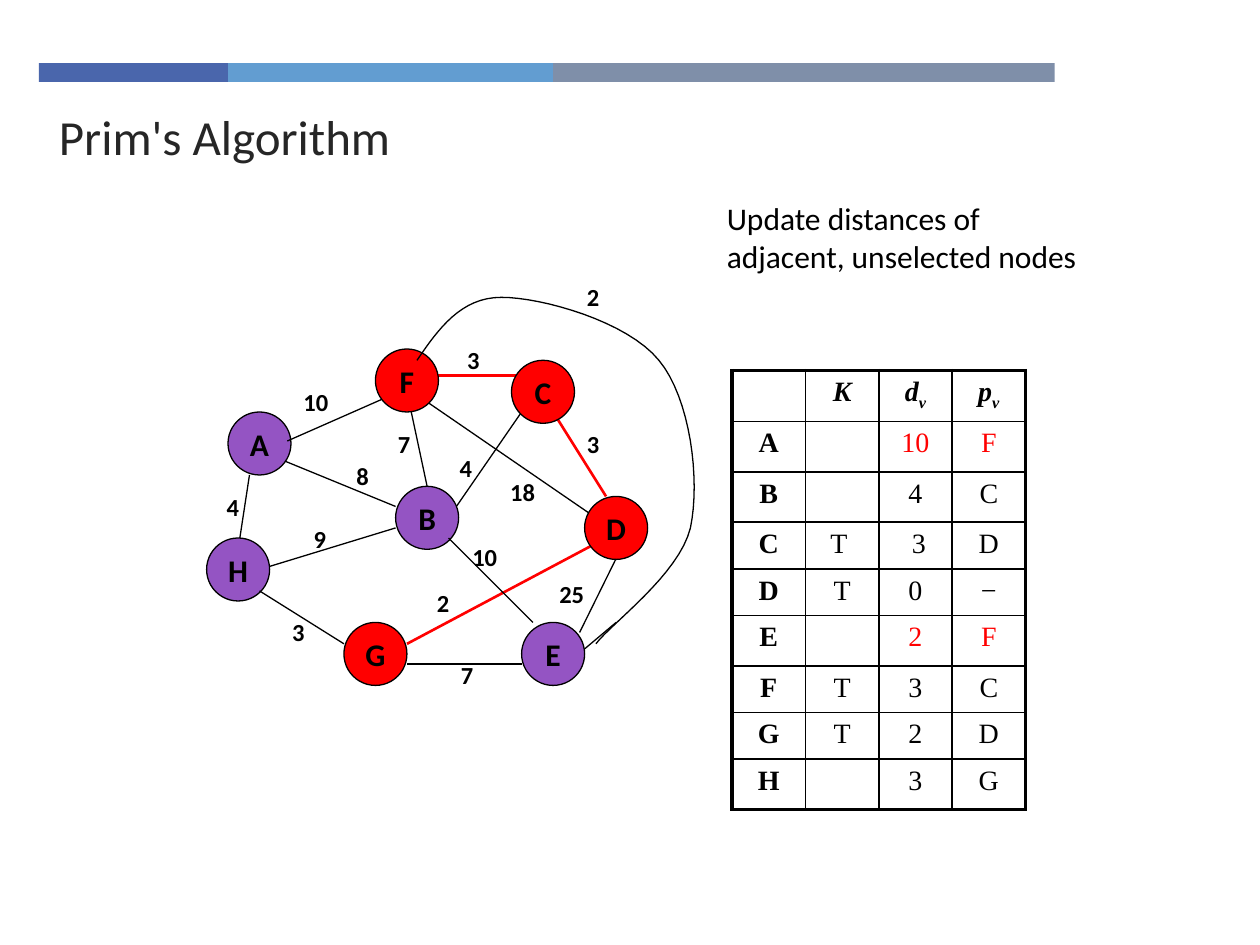
from lxml.etree import SubElement
from pptx import Presentation
from pptx.dml.color import RGBColor as RGB
from pptx.enum.shapes import MSO_CONNECTOR as LINK, MSO_SHAPE as SHAPE
from pptx.enum.text import MSO_ANCHOR as ANCHOR, PP_ALIGN as ALIGN
from pptx.oxml.ns import qn
from pptx.util import Inches, Pt

COLORS = {"black": "000000", "red": "FF0000", "purple": "9454C3",
          "title": "262626", "navy": "4A66AC", "sky": "629DD1", "slate": "7F8FA9"}

# name, left, top, in the tree
NODES = [("A", 0.31, 1.27, False), ("H", 0.14, 2.27, False),
         ("B", 1.64, 1.86, False), ("F", 1.48, 0.77, True),
         ("E", 2.64, 2.94, False), ("D", 3.14, 1.94, True),
         ("C", 2.56, 0.86, True), ("G", 1.23, 2.94, True)]

# start, end, weight, place of weight, in the tree
UNDER = [((3.51, 2.19), (3.10, 3.02), "25", (2.84, 2.55), False),
         ((1.73, 1.11), (1.89, 1.86), "7", (1.56, 1.36), False),
         ((2.06, 2.11), (2.64, 1.27), "4", (2.05, 1.55), False),
         ((3.23, 2.11), (1.89, 1.19), "18", (2.45, 1.74), False),
         ((0.56, 2.52), (1.64, 2.19), "9", (0.89, 2.11), False),
         ((1.73, 3.11), (3.31, 2.27), "2", (1.87, 2.62), True),
         ((0.39, 2.36), (0.48, 1.77), "4", (0.20, 1.86), False),
         ((0.64, 1.61), (1.64, 2.02), "8", (1.23, 1.61), False),
         ((1.94, 0.98), (2.73, 0.98), "3", (2.11, 0.69), True),
         ((2.89, 1.27), (3.31, 1.94), "3", (3.06, 1.36), True)]
OVER = [((2.06, 2.27), (2.73, 2.94), "10", (2.15, 2.25), False),
        ((2.64, 3.27), (1.73, 3.27), "7", (2.06, 3.19), False),
        ((1.23, 3.11), (0.56, 2.69), "3", (0.72, 2.85), False),
        ((0.78, 1.50), (1.53, 1.17), "10", (0.81, 1.02), False),
        ((3.39, 2.94), (3.14, 3.15), "2", (3.06, 0.19), False)]

# Bezier knots of the outer edge from F to E: start, then three per segment
ARC = [(1.81, 0.86), (1.98, 0.61), (2.16, 0.36), (2.48, 0.36),
       (2.80, 0.36), (3.48, 0.55), (3.73, 0.86),
       (3.98, 1.16), (4.06, 1.81), (3.98, 2.19),
       (3.89, 2.56), (3.35, 2.95), (3.23, 3.11)]

# An underscore marks the subscript
ROWS = [["", "K", "d_v", "p_v"],
        ["A", "", "10", "F"],
        ["B", "", "4", "C"],
        ["C", "T ", " 3", "D"],
        ["D", "T", "0", "−"],
        ["E", "", "2", "F"],
        ["F", "T", "3", "C"],
        ["G", "T", "2", "D"],
        ["H", "", "3", "G"]]
UPDATED = {"A", "E"}


def color(name):
    return RGB.from_string(COLORS[name])


def write(frame, text, size=14, font="Calibri", ink="black", bold=False,
          italic=False, align=ALIGN.LEFT):
    para = frame.paragraphs[0]
    para.alignment = align
    for i, part in enumerate(text.split("_")):
        run = para.add_run()
        run.text = part
        style = run.font
        style.name, style.size = font, Pt(size)
        style.bold, style.italic = bold, italic
        style.color.rgb = color(ink)
        if i:
            run._r.get_or_add_rPr().set("baseline", "-25000")


def add_text(slide, text, x, y, w, h, **format):
    box = slide.shapes.add_textbox(Inches(x), Inches(y), Inches(w), Inches(h))
    box.text_frame.word_wrap = True
    write(box.text_frame, text, **format)


def add_bar(slide, x, y, h):
    for name, w in (("navy", 1.5), ("sky", 2.58), ("slate", 3.98)):
        bar = slide.shapes.add_shape(SHAPE.RECTANGLE, Inches(x), Inches(y),
                                     Inches(w), Inches(h))
        bar.shadow.inherit = False
        bar.fill.solid()
        bar.fill.fore_color.rgb = color(name)
        bar.line.fill.background()
        x += w


def add_edge(slide, x, y, edge):
    start, end, weight, (left, top), chosen = edge
    line = slide.shapes.add_connector(
        LINK.STRAIGHT, Inches(x + start[0]), Inches(y + start[1]),
        Inches(x + end[0]), Inches(y + end[1]))
    line.line.color.rgb = color("red" if chosen else "black")
    line.line.width = Pt(1.5 if chosen else 0.75)
    SubElement(line._element.spPr, qn("a:effectLst"))
    add_text(slide, weight, x + left, y + top,
             0.33 if len(weight) == 1 else 0.52, 0.33, bold=True)


def add_node(slide, name, x, y, chosen, size=0.5):
    node = slide.shapes.add_shape(SHAPE.OVAL, Inches(x), Inches(y),
                                  Inches(size), Inches(size))
    node.shadow.inherit = False
    node.fill.solid()
    node.fill.fore_color.rgb = color("red" if chosen else "purple")
    node.line.color.rgb = color("black")
    node.line.width = Pt(0.75)
    node.text_frame.word_wrap = False
    node.text_frame.vertical_anchor = ANCHOR.MIDDLE
    write(node.text_frame, name, size=18, bold=True, align=ALIGN.CENTER)


def bezier(knots, steps=16):
    """Sample a chain of cubic curves."""
    points = [knots[0]]
    for i in range(0, len(knots) - 1, 3):
        for n in range(1, steps + 1):
            t = n / steps
            parts = ((1 - t) ** 3, 3 * t * (1 - t) ** 2,
                     3 * t ** 2 * (1 - t), t ** 3)
            points.append(tuple(sum(p * k[axis] for p, k in zip(parts, knots[i:i + 4]))
                                for axis in (0, 1)))
    return points


def add_arc(slide, x, y):
    points = [(Inches(x + px), Inches(y + py)) for px, py in bezier(ARC)]
    form = slide.shapes.build_freeform(*points[0])
    form.add_line_segments(points[1:], close=False)
    arc = form.convert_to_shape()
    arc.shadow.inherit = False
    arc.fill.background()
    arc.line.color.rgb = color("black")
    arc.line.width = Pt(0.75)


def add_graph(slide, x, y):
    for edge in UNDER:
        add_edge(slide, x, y, edge)
    for name, left, top, chosen in NODES:
        add_node(slide, name, x + left, y + top, chosen)
    for edge in OVER:
        add_edge(slide, x, y, edge)
    add_arc(slide, x, y)


def set_border(cell, side, width):
    line = SubElement(cell._tc.get_or_add_tcPr(), qn(f"a:ln{side}"), w=str(Pt(width)))
    fill = SubElement(line, qn("a:solidFill"))
    SubElement(fill, qn("a:srgbClr"), val=COLORS["black"])


def add_grid(slide, x, y, w, head=0.4, step=0.37):
    high, wide = len(ROWS), len(ROWS[0])
    table = slide.shapes.add_table(high, wide, Inches(x), Inches(y), Inches(w),
                                   Inches(head + step * (high - 1))).table
    table.first_row = table.horz_banding = False
    for col in table.columns:
        col.width = Inches(w / wide)
    for r, row in enumerate(ROWS):
        table.rows[r].height = Inches(step if r else head)
        for c, text in enumerate(row):
            cell = table.cell(r, c)
            outer = {"L": c == 0, "R": c == wide - 1, "T": r == 0, "B": r == high - 1}
            for side, edge in outer.items():
                set_border(cell, side, 2.25 if edge else 1)
            cell.fill.background()
            fresh = row[0] in UPDATED and c > 0
            write(cell.text_frame, text, size=16, font="Times New Roman",
                  ink="red" if fresh else "black", bold=r == 0 or c == 0,
                  italic=r == 0, align=ALIGN.CENTER)


def main():
    deck = Presentation()
    deck.slide_width, deck.slide_height = Inches(10), Inches(7.5)
    slide = deck.slides.add_slide(deck.slide_layouts[6])
    add_bar(slide, 0.31, 0.5, 0.15)
    add_text(slide, "Prim's Algorithm", 0.37, 0.8, 7.16, 0.54, size=28, ink="title")
    add_text(slide, "Update distances of adjacent, unselected nodes",
             5.67, 1.53, 3.17, 0.77, size=18)
    add_graph(slide, 1.5, 2)
    add_grid(slide, 5.81, 2.94, 2.33)
    deck.save("out.pptx")


if __name__ == "__main__":
    main()
